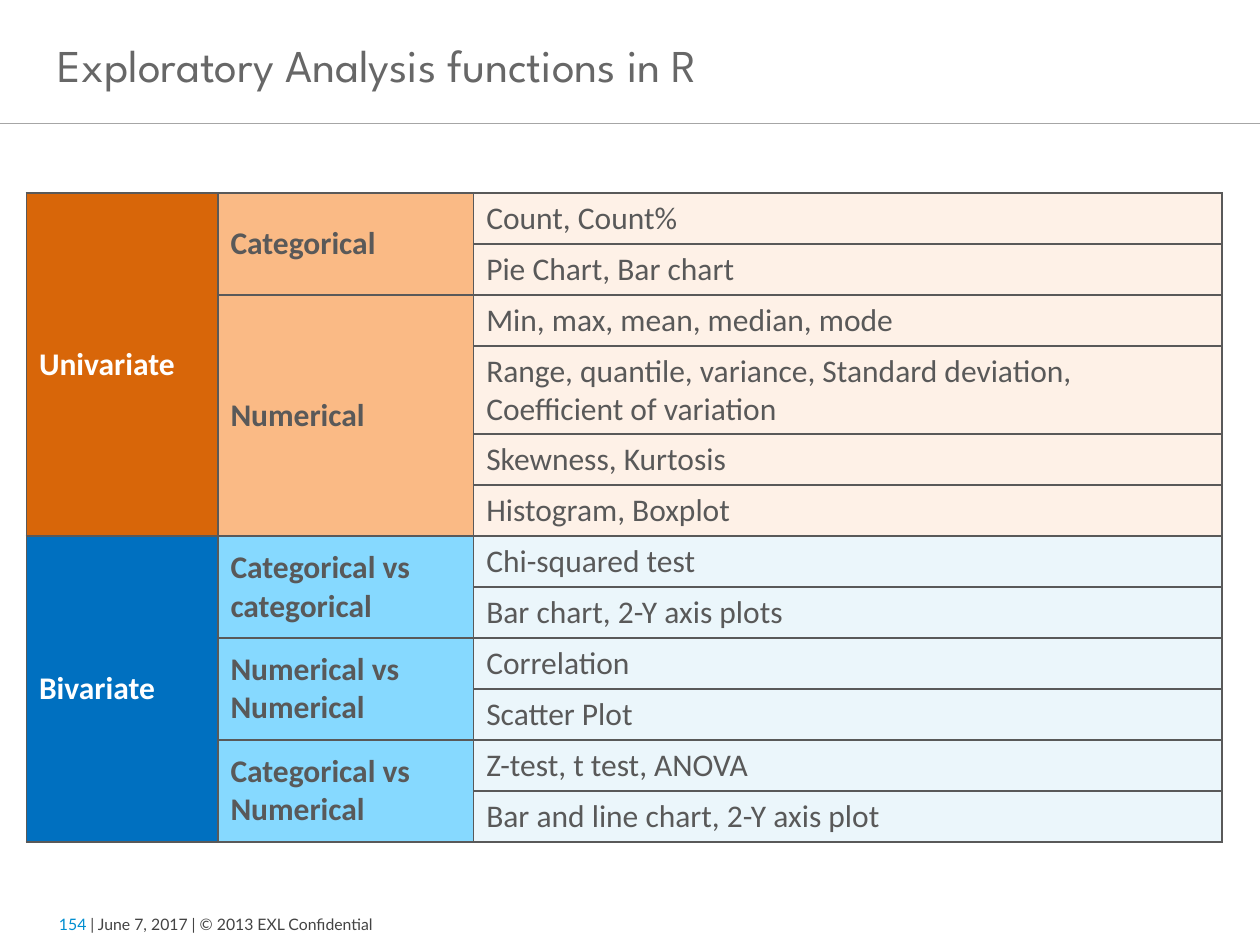
from lxml.etree import SubElement
from pptx import Presentation
from pptx.dml.color import RGBColor
from pptx.enum.shapes import MSO_CONNECTOR
from pptx.enum.text import MSO_ANCHOR
from pptx.oxml.ns import qn
from pptx.util import Inches, Pt

WHITE = RGBColor(0xFF, 0xFF, 0xFF)
TITLE_GRAY = RGBColor(0x67, 0x67, 0x67)
RULE_GRAY = RGBColor(0xA6, 0xA6, 0xA6)
TEXT_GRAY = RGBColor(0x59, 0x59, 0x59)
FOOTER_GRAY = RGBColor(0x43, 0x43, 0x43)
FOOTER_BLUE = RGBColor(0x00, 0x8E, 0xD0)
ORANGES = (RGBColor(0xD8, 0x66, 0x09), RGBColor(0xFA, 0xBA, 0x85), RGBColor(0xFE, 0xF1, 0xE7))
BLUES = (RGBColor(0x00, 0x70, 0xC0), RGBColor(0x86, 0xD9, 0xFF), RGBColor(0xEB, 0xF6, 0xFB))

COLUMN_WIDTHS = (1.52, 2.03, 5.94)
ROW_HEIGHT = Inches(4.86) // 12  # the row with two lines of text grows by itself

# (analysis, shades, [(variable type, [functions])])
ANALYSES = [
    ("Univariate", ORANGES, [
        ("Categorical", ["Count, Count%", "Pie Chart, Bar chart"]),
        ("Numerical", [
            "Min, max, mean, median, mode",
            "Range, quantile, variance, Standard deviation, Coefficient of variation",
            "Skewness, Kurtosis",
            "Histogram, Boxplot",
        ]),
    ]),
    ("Bivariate", BLUES, [
        ("Categorical vs categorical", ["Chi-squared test", "Bar chart, 2-Y axis plots"]),
        ("Numerical vs Numerical", ["Correlation", "Scatter Plot"]),
        ("Categorical vs Numerical", ["Z-test, t test, ANOVA", "Bar and line chart, 2-Y axis plot"]),
    ]),
]


def set_font(font, name, size, color, bold=False):
    font.name, font.size, font.bold = name, Pt(size), bold
    font.color.rgb = color


def add_text_line(slide, box):
    """Add a vertically centred text box and return its first paragraph."""
    frame = slide.shapes.add_textbox(*box).text_frame
    frame.word_wrap = True
    frame.vertical_anchor = MSO_ANCHOR.MIDDLE
    return frame.paragraphs[0]


def add_title(slide, box, text):
    paragraph = add_text_line(slide, box)
    paragraph.text = text
    paragraph.line_spacing = Pt(28)
    set_font(paragraph.font, "League Spartan", 26, TITLE_GRAY)


def add_header_rule(slide, left, top, width):
    rule = slide.shapes.add_connector(MSO_CONNECTOR.STRAIGHT, left, top, left + width, top)
    rule.line.color.rgb = RULE_GRAY
    rule.line.width = Pt(0.5)
    SubElement(rule._element.spPr, qn("a:effectLst"))


def add_footer(slide, box, number, text):
    paragraph = add_text_line(slide, box)
    for words, color in ((f"{number} ", FOOTER_BLUE), (text, FOOTER_GRAY)):
        run = paragraph.add_run()
        run.text = words
        set_font(run.font, "Lato", 9, color)


def add_borders(cell):
    properties = cell._tc.get_or_add_tcPr()
    for index, side in enumerate(("lnL", "lnR", "lnT", "lnB")):
        line = properties.makeelement(qn(f"a:{side}"), {"w": str(Pt(1))})
        fill = SubElement(line, qn("a:solidFill"))
        SubElement(fill, qn("a:srgbClr"), val=str(TEXT_GRAY))
        properties.insert(index, line)


def fill_block(table, row, column, row_count, text, fill, color, bold):
    """Write one cell that covers row_count rows of a column."""
    for covered_row in range(row, row + row_count):
        covered = table.cell(covered_row, column)
        covered.fill.solid()
        covered.fill.fore_color.rgb = fill
        add_borders(covered)
    cell = table.cell(row, column)
    if row_count > 1:
        cell.merge(table.cell(row + row_count - 1, column))
    cell.text = text
    cell.vertical_anchor = MSO_ANCHOR.MIDDLE
    set_font(cell.text_frame.paragraphs[0].font, "Calibri", 18, color, bold)


def add_function_table(slide, left, top):
    row_total = sum(len(functions) for _, _, groups in ANALYSES for _, functions in groups)
    width = Inches(sum(COLUMN_WIDTHS))
    table = slide.shapes.add_table(
        row_total, len(COLUMN_WIDTHS), left, top, width, ROW_HEIGHT * row_total).table
    table.first_row = table.horz_banding = False
    for column, column_width in zip(table.columns, COLUMN_WIDTHS):
        column.width = Inches(column_width)

    row = 0
    for analysis, (dark, medium, light), groups in ANALYSES:
        analysis_rows = sum(len(functions) for _, functions in groups)
        fill_block(table, row, 0, analysis_rows, analysis, dark, WHITE, True)
        for variable_type, functions in groups:
            fill_block(table, row, 1, len(functions), variable_type, medium, TEXT_GRAY, True)
            for function in functions:
                fill_block(table, row, 2, 1, function, light, TEXT_GRAY, False)
                row += 1


def main():
    presentation = Presentation()
    presentation.slide_width, presentation.slide_height = Inches(10), Inches(7.5)
    slide = presentation.slides.add_slide(presentation.slide_layouts[6])
    add_header_rule(slide, 0, Inches(0.98), presentation.slide_width)
    add_footer(slide, [Inches(n) for n in (0.37, 7.19, 3.8, 0.29)],
               154, "| June 7, 2017 | © 2013 EXL Confidential")
    add_title(slide, [Inches(n) for n in (0.36, 0.04, 9.49, 0.98)],
              "Exploratory Analysis functions in R")
    add_function_table(slide, Inches(0.21), Inches(1.53))
    presentation.save("out.pptx")


if __name__ == "__main__":
    main()
